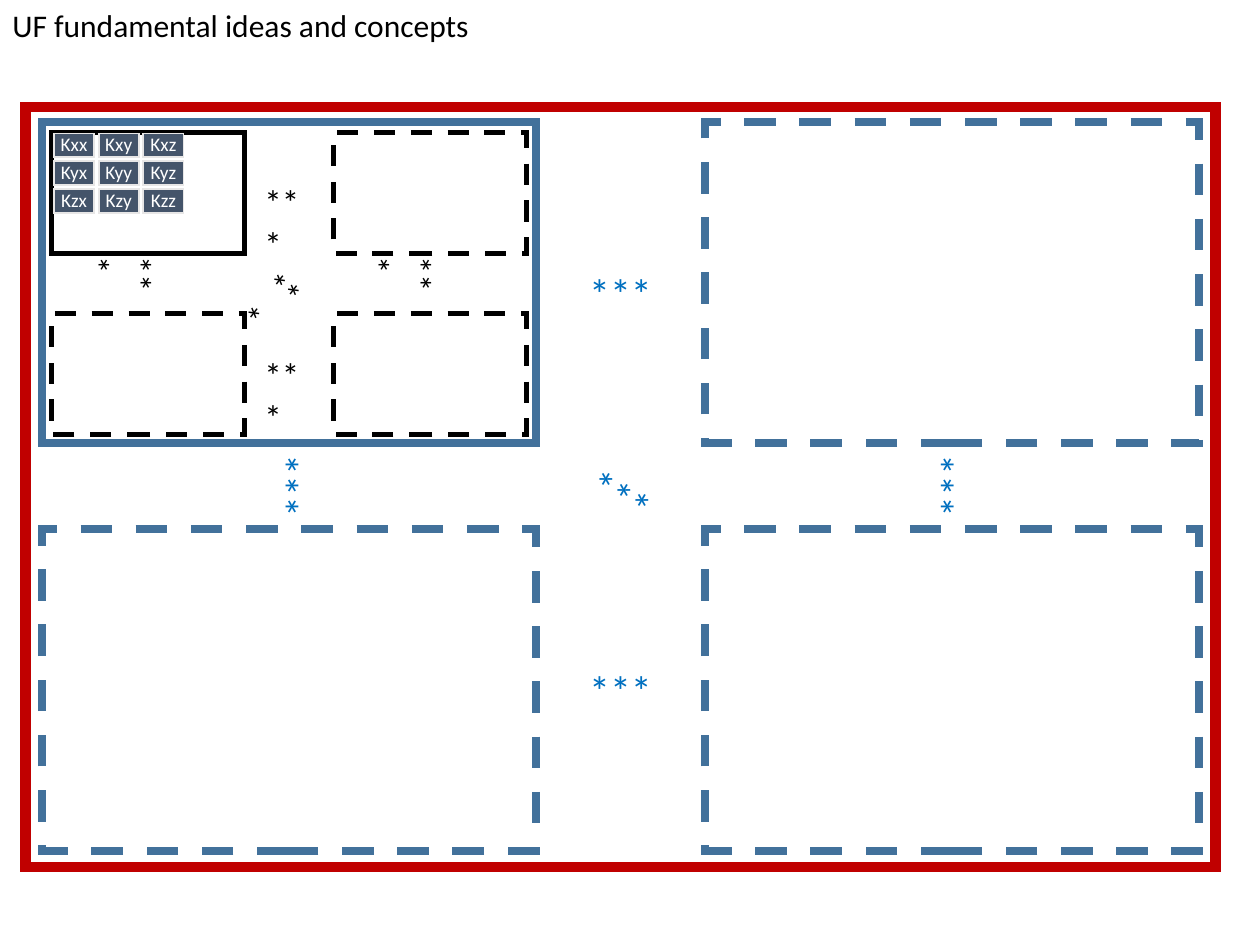
from dataclasses import dataclass
from itertools import product

from lxml.etree import SubElement
from pptx import Presentation
from pptx.dml.color import RGBColor
from pptx.enum.dml import MSO_LINE_DASH_STYLE as Dash
from pptx.enum.shapes import MSO_SHAPE as Preset
from pptx.enum.text import MSO_ANCHOR as Anchor, MSO_AUTO_SIZE as AutoSize, PP_ALIGN as Align
from pptx.oxml.ns import qn
from pptx.util import Cm, Pt

RED, BLUE, BLACK, WHITE = "C00000", "42719B", "000000", "FFFFFF"
STAR_BLUE, CELL_FILL, CELL_LINE = "0070C0", "44546A", "E7E6E6"


@dataclass(frozen=True)
class Box:
    """Place and size in centimetres."""
    left: float
    top: float
    width: float
    height: float

    def lengths(self):
        return Cm(self.left), Cm(self.top), Cm(self.width), Cm(self.height)


@dataclass(frozen=True)
class Quad:
    """Two by two frames; the first is solid, the others dashed."""
    lefts: tuple
    tops: tuple
    width: float
    height: float
    color: str
    weight: float


@dataclass(frozen=True)
class Stars:
    """Continuation marks: (left, top, rotation) of each one."""
    places: tuple
    width: float
    height: float
    size: float
    color: str
    align: Align


BLOCKS = Quad((0.84, 14.22), (2.46, 10.67), 9.96, 6.48, BLUE, 4.5)
SUBBLOCKS = Quad((1.04, 6.73), (2.67, 6.32), 3.89, 2.44, BLACK, 3)
BLOCK_STARS = Stars(((4.85, 9.17, 90), (18.06, 9.17, 90), (11.61, 5.26, 0),
                     (11.61, 13.28, 0), (11.61, 9.37, 30.2)),
                    1.8, 1.27, 24, STAR_BLUE, Align.CENTER)
SUBBLOCK_STARS = Stars(((5.08, 3.51, 0), (2.21, 5.13, 90), (7.85, 5.13, 90),
                        (5.08, 7.01, 0), (5.13, 5.36, 37.8)),
                       1.37, 0.97, 20, BLACK, Align.LEFT)


def rgb(color: str) -> RGBColor:
    return RGBColor.from_string(color)


def add_text(shape, text: str, size: float, color: str, align: Align) -> None:
    paragraph = shape.text_frame.paragraphs[0]
    paragraph.alignment = align
    run = paragraph.add_run()
    run.text = text
    run.font.name = "Calibri"
    run.font.size = Pt(size)
    run.font.color.rgb = rgb(color)


def add_frame(slide, box: Box, color: str, weight: float, dashed: bool = False):
    shape = slide.shapes.add_shape(Preset.RECTANGLE, *box.lengths())
    shape.shadow.inherit = False
    shape.fill.background()
    shape.line.color.rgb = rgb(color)
    shape.line.width = Pt(weight)
    if dashed:
        shape.line.dash_style = Dash.DASH
    # Square corners
    outline = shape.line._get_or_add_ln()
    SubElement(outline, qn("a:miter")).set("lim", "800000")
    return shape


def add_quad(slide, quad: Quad) -> None:
    for index, (left, top) in enumerate(product(quad.lefts, quad.tops)):
        box = Box(left, top, quad.width, quad.height)
        add_frame(slide, box, quad.color, quad.weight, dashed=index > 0)


def add_label(slide, box: Box, text: str, size: float, color: str, align: Align):
    label = slide.shapes.add_textbox(*box.lengths())
    label.text_frame.word_wrap = True
    label.text_frame.auto_size = AutoSize.SHAPE_TO_FIT_TEXT
    add_text(label, text, size, color, align)
    return label


def add_stars(slide, stars: Stars) -> None:
    for left, top, rotation in stars.places:
        box = Box(left, top, stars.width, stars.height)
        label = add_label(slide, box, "***", stars.size, stars.color, stars.align)
        label.rotation = rotation


def add_stiffness_cells(slide) -> None:
    for (row, first), (column, second) in product(enumerate("xyz"), repeat=2):
        box = Box(1.09 + 0.9 * column, 2.69 + 0.56 * row, 0.81, 0.48)
        cell = add_frame(slide, box, CELL_LINE, 1)
        cell.fill.solid()
        cell.fill.fore_color.rgb = rgb(CELL_FILL)
        frame = cell.text_frame
        frame.margin_left = frame.margin_right = frame.margin_top = frame.margin_bottom = 0
        frame.vertical_anchor = Anchor.MIDDLE
        frame.word_wrap = False
        frame.paragraphs[0].line_spacing = 0.9
        add_text(cell, f"K{first}{second}", 11, WHITE, Align.CENTER)


def main() -> None:
    presentation = Presentation()
    presentation.slide_width, presentation.slide_height = Cm(25.4), Cm(19.05)
    slide = presentation.slides.add_slide(presentation.slide_layouts[6])

    # Whole matrix and its blocks
    add_frame(slide, Box(0.51, 2.16, 24, 15.32), RED, 6)
    add_quad(slide, BLOCKS)

    # Contents of the first block
    add_quad(slide, SUBBLOCKS)
    add_stiffness_cells(slide)
    add_stars(slide, SUBBLOCK_STARS)

    # Marks between the blocks, and the title
    add_stars(slide, BLOCK_STARS)
    add_label(slide, Box(0, 0, 9.83, 1.02), "UF fundamental ideas and concepts",
              18, BLACK, Align.LEFT)

    presentation.save("out.pptx")


if __name__ == "__main__":
    main()
